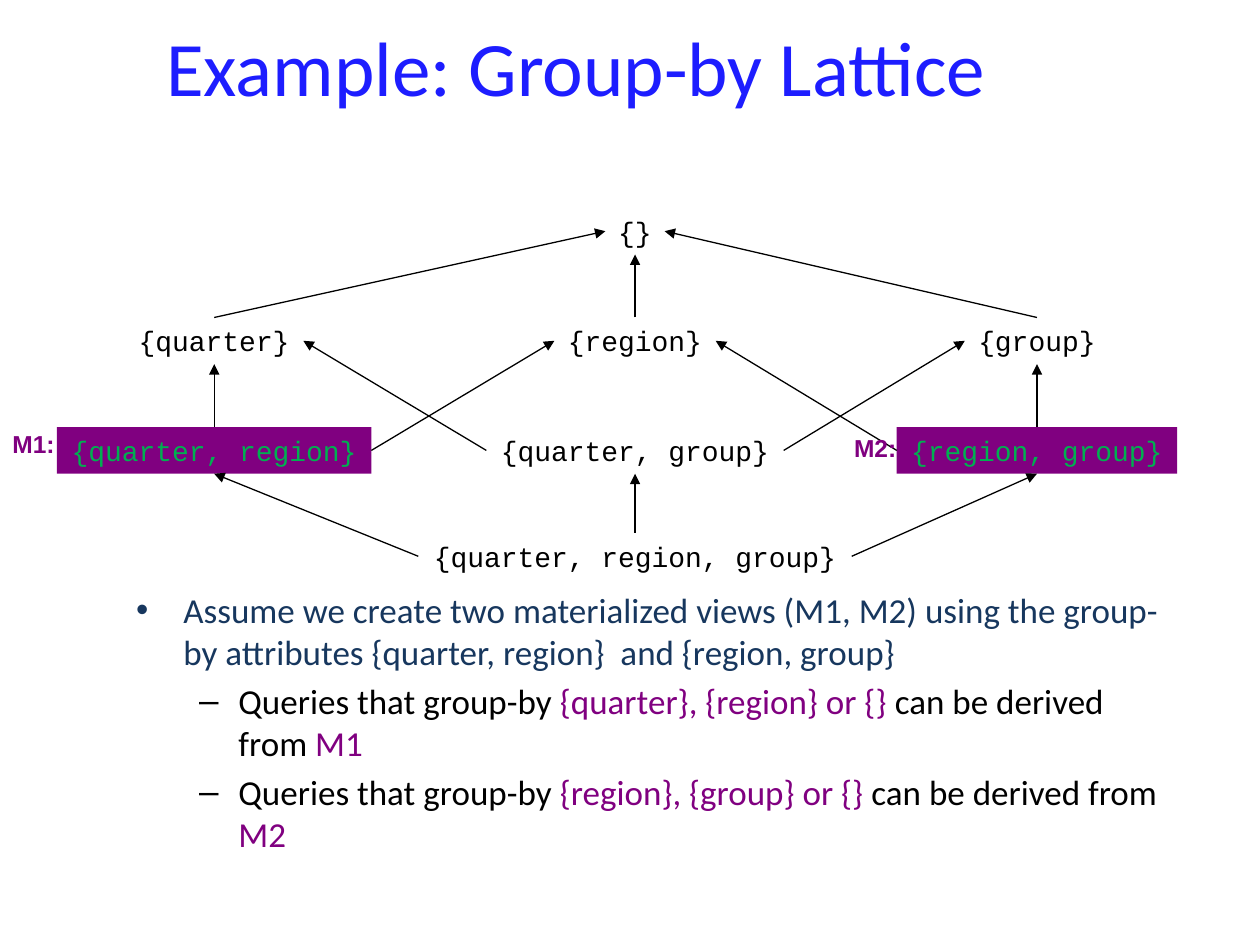
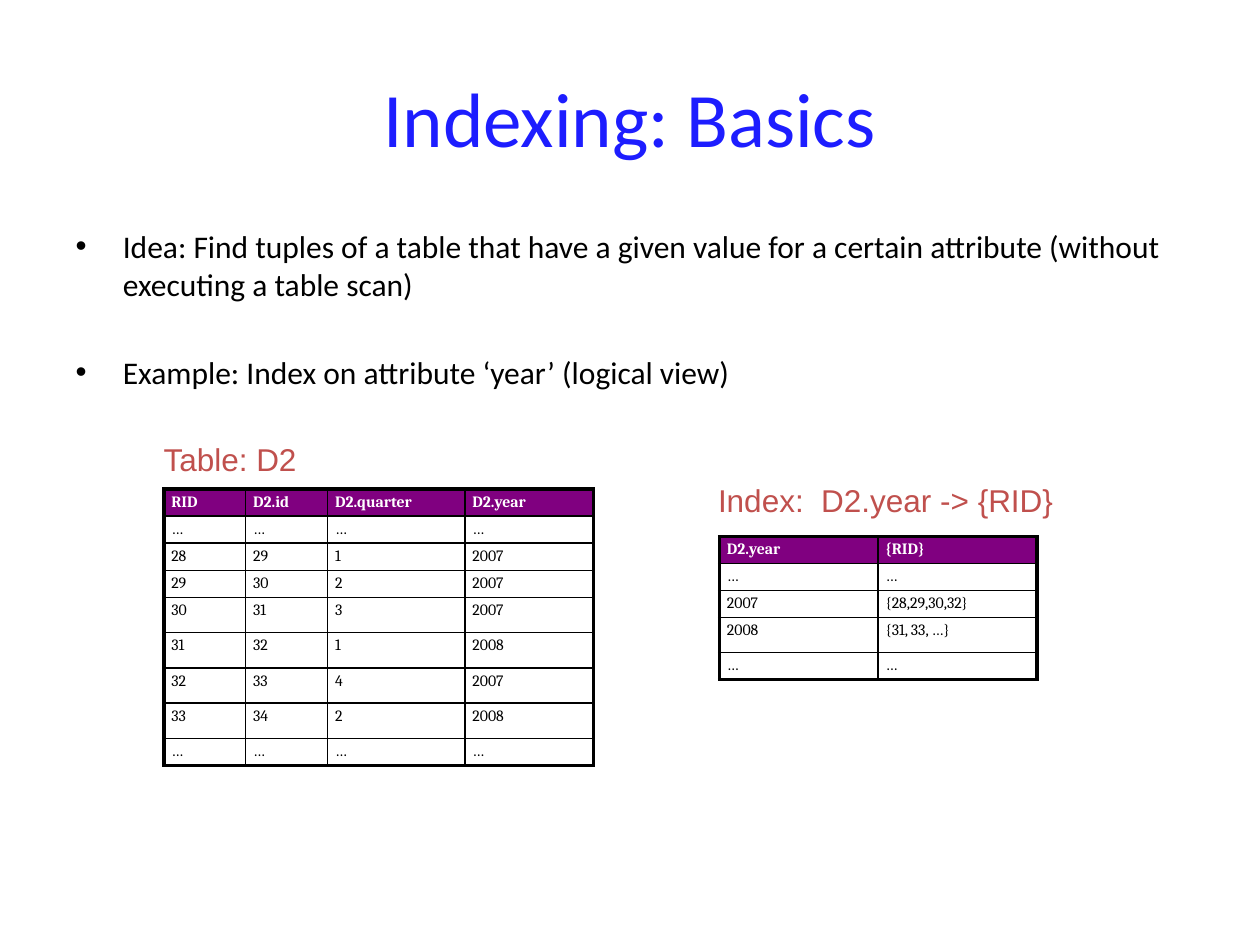
from dataclasses import dataclass, field
from itertools import accumulate

from lxml import etree
from pptx import Presentation
from pptx.dml.color import RGBColor
from pptx.enum.shapes import MSO_CONNECTOR, MSO_SHAPE
from pptx.enum.text import MSO_ANCHOR, MSO_AUTO_SIZE, PP_ALIGN
from pptx.oxml.ns import qn
from pptx.util import Emu, Inches, Pt

STRAIGHT = MSO_CONNECTOR.STRAIGHT
RECTANGLE = MSO_SHAPE.RECTANGLE
TOP, MIDDLE = MSO_ANCHOR.TOP, MSO_ANCHOR.MIDDLE
GROW = MSO_AUTO_SIZE.SHAPE_TO_FIT_TEXT
LEFT_ALIGN, CENTER = PP_ALIGN.LEFT, PP_ALIGN.CENTER

SLIDE_W, SLIDE_H = Inches(10), Inches(7.5)
UNIT = SLIDE_W // 100  # the grid has 100 columns and 75 rows
TITLE_AND_CONTENT = 1

# connection sites of a rectangle
N, W, S, E = range(4)


@dataclass(frozen=True)
class Style:
    size: float
    name: str
    color: str
    bold: bool = False


@dataclass(frozen=True)
class Theme:
    black: str = "000000"
    purple: str = "800080"
    thin: float = 1
    thick: float = 2.25
    arrow: float = 0.75
    title: Style = Style(44, "Calibri", "1D1DFF")
    lead: Style = Style(20, "Calibri", "17375E")
    detail: Style = Style(20, "Calibri", "000000")
    emphasis: Style = Style(20, "Calibri", "800080")
    idea: Style = Style(18, "Calibri", "000000")
    node: Style = Style(16, "Courier New", "000000")
    view_node: Style = Style(16, "Courier New", "00B050")
    view_label: Style = Style(14, "Arial", "800080", True)
    caption: Style = Style(18, "Arial", "C0504D")
    header: Style = Style(9, "Cambria", "FFFFFF", True)
    cell: Style = Style(9, "Cambria", "000000")


THEME = Theme()


@dataclass(frozen=True)
class Box:
    """A place on the slide, in grid units."""
    left: float
    top: float
    width: float
    height: float

    def emu(self) -> list[Emu]:
        return [units(v) for v in (self.left, self.top, self.width, self.height)]


@dataclass(frozen=True)
class Bullet:
    runs: list[tuple[str, Style]]
    level: int = 0
    gap: float | None = None


@dataclass(frozen=True)
class Node:
    text: str
    col: int
    row: int
    view: bool = False


@dataclass(frozen=True)
class Edge:
    start: str
    start_site: int
    end: str
    end_site: int


@dataclass(frozen=True)
class Grid:
    """A table with a caption; rows listed in tall are higher than the rest."""
    caption: str
    caption_box: Box
    left: float
    top: float
    cols: list[float]
    rows: list[list[str]]
    tall: set[int] = field(default_factory=set)


COL_CENTERS = [17, 50.4, 82.3]
ROW_TOPS = [16.5, 25.2, 33.9, 42.3]
NODE_H, NODE_PAD, CHAR_W = 3.7, 2, 1.35
ROW_H, TALL_ROW_H = 2.13, 2.8

QUARTER, REGION, GROUP, ALL = "{quarter}", "{region}", "{group}", "{}"
QUARTER_REGION = "{quarter, region}"
QUARTER_GROUP = "{quarter, group}"
REGION_GROUP = "{region, group}"
BASE = "{quarter, region, group}"

NODES = [
    Node(ALL, 1, 0),
    Node(QUARTER, 0, 1), Node(REGION, 1, 1), Node(GROUP, 2, 1),
    Node(QUARTER_REGION, 0, 2, True), Node(QUARTER_GROUP, 1, 2),
    Node(REGION_GROUP, 2, 2, True),
    Node(BASE, 1, 3),
]
EDGES = [
    Edge(BASE, W, QUARTER_REGION, S), Edge(BASE, N, QUARTER_GROUP, S),
    Edge(BASE, E, REGION_GROUP, S),
    Edge(QUARTER_REGION, N, QUARTER, S), Edge(QUARTER_REGION, E, REGION, W),
    Edge(QUARTER_GROUP, W, QUARTER, E), Edge(QUARTER_GROUP, E, GROUP, W),
    Edge(REGION_GROUP, W, REGION, E), Edge(REGION_GROUP, N, GROUP, S),
    Edge(QUARTER, N, ALL, W), Edge(REGION, N, ALL, S), Edge(GROUP, N, ALL, E),
]
VIEW_LABELS = [("M1:", Box(0, 33.6, 5.4, 3.4)), ("M2:", Box(66.8, 33.9, 5.4, 3.4))]


def derived(groups: str, view: str) -> Bullet:
    """Says which groupings can be answered from a materialized view."""
    return Bullet([("Queries that group-by ", THEME.detail), (groups, THEME.emphasis),
                   (" can be derived from ", THEME.detail), (view, THEME.emphasis)], 1)


VIEW_BULLETS = [
    Bullet([("Assume we create two materialized views (M1, M2) using the group-by "
             "attributes {quarter, region}  and {region, group}", THEME.lead)]),
    derived("{quarter}, {region} or {}", "M1"),
    derived("{region}, {group} or {}", "M2"),
]
INDEX_BULLETS = [
    Bullet([("Idea: Find tuples of a table that have a given value for a certain "
             "attribute (without executing a table scan)", THEME.idea)]),
    Bullet([("Example: Index on attribute ‘year’ (logical view)", THEME.idea)], gap=29),
]
GRIDS = [
    Grid("Index:  D2.year -> {RID}", Box(56, 37.7, 28.9, 4), 57.1, 42.6, [12.6, 12.6],
         [["D2.year", "{RID}"],
          ["…", "…"],
          ["2007", "{28,29,30,32}"],
          ["2008", "{31, 33, …}"],
          ["…", "…"]], {3}),
    Grid("Table: D2", Box(12, 34.4, 12.7, 4), 13, 38.8, [6.5, 6.5, 10.9, 10.2],
         [["RID", "D2.id", "D2.quarter", "D2.year"],
          ["…"] * 4,
          ["28", "29", "1", "2007"],
          ["29", "30", "2", "2007"],
          ["30", "31", "3", "2007"],
          ["31", "32", "1", "2008"],
          ["32", "33", "4", "2007"],
          ["33", "34", "2", "2008"],
          ["…"] * 4], {4, 5, 6, 7}),
]


def units(v: float) -> Emu:
    return Emu(round(v * UNIT))


def add_run(p, text: str, style: Style) -> None:
    r = p.add_run()
    r.text = text
    values = {"size": Pt(style.size), "name": style.name, "bold": style.bold}
    for name, value in values.items():
        setattr(r.font, name, value)
    r.font.color.rgb = RGBColor.from_string(style.color)


def place(sp, box: Box) -> None:
    for name, value in zip(("left", "top", "width", "height"), box.emu()):
        setattr(sp, name, value)


def add_slide(prs, title: str, title_box: Box, bullets: list[Bullet], body_box: Box):
    s = prs.slides.add_slide(prs.slide_layouts[TITLE_AND_CONTENT])
    head, body = s.placeholders
    place(head, title_box)
    head.text_frame.vertical_anchor = MIDDLE
    add_run(head.text_frame.paragraphs[0], title, THEME.title)

    place(body, body_box)
    tf = body.text_frame
    for i, bullet in enumerate(bullets):
        p = tf.add_paragraph() if i else tf.paragraphs[0]
        p.level = bullet.level
        if bullet.gap is not None:
            p.space_before = Pt(bullet.gap)
        for text, style in bullet.runs:
            add_run(p, text, style)
    return s


def add_label(s, text: str, box: Box, style: Style, align=LEFT_ALIGN,
              fill: str | None = None):
    """Adds one line of text, on a filled rectangle if a fill is given."""
    if fill:
        sp = s.shapes.add_shape(RECTANGLE, *box.emu())
        sp.shadow.inherit = False
        sp.fill.solid()
        sp.fill.fore_color.rgb = RGBColor.from_string(fill)
        sp.line.fill.background()
    else:
        sp = s.shapes.add_textbox(*box.emu())
    frame = {"word_wrap": False, "auto_size": GROW, "vertical_anchor": TOP}
    for name, value in frame.items():
        setattr(sp.text_frame, name, value)
    p = sp.text_frame.paragraphs[0]
    p.alignment = align
    add_run(p, text, style)
    return sp


def add_node(s, node: Node):
    width = NODE_PAD + CHAR_W * len(node.text)
    box = Box(COL_CENTERS[node.col] - width / 2, ROW_TOPS[node.row], width, NODE_H)
    style, fill = (THEME.view_node, THEME.purple) if node.view else (THEME.node, None)
    return add_label(s, node.text, box, style, CENTER, fill)


def add_arrow(s, edge: Edge, shapes: dict) -> None:
    line = s.shapes.add_connector(STRAIGHT, 0, 0, 0, 0)
    line.begin_connect(shapes[edge.start], edge.start_site)
    line.end_connect(shapes[edge.end], edge.end_site)
    line.line.width = Pt(THEME.arrow)
    line.line.color.rgb = RGBColor.from_string(THEME.black)
    etree.SubElement(line.line._get_or_add_ln(), qn("a:tailEnd"), type="triangle")
    etree.SubElement(line._element.spPr, qn("a:effectLst"))


def add_borders(cell, outer: dict[str, bool]) -> None:
    """Draws thick lines on the outer sides of the table and thin ones inside."""
    tc_pr = cell._tc.get_or_add_tcPr()
    for side, is_outer in outer.items():
        width = Pt(THEME.thick if is_outer else THEME.thin)
        ln = etree.SubElement(tc_pr, qn(f"a:ln{side}"), w=str(width))
        fill = etree.SubElement(ln, qn("a:solidFill"))
        etree.SubElement(fill, qn("a:srgbClr"), val=THEME.black)


def add_grid(s, grid: Grid) -> None:
    heights = [TALL_ROW_H if i in grid.tall else ROW_H for i in range(len(grid.rows))]
    box = Box(grid.left, grid.top, sum(grid.cols), sum(heights))
    table = s.shapes.add_table(len(heights), len(grid.cols), *box.emu()).table
    table.horz_banding = False
    for column, width in zip(table.columns, grid.cols):
        column.width = units(width)
    edges = [0, *accumulate(heights)]
    for row, top, bottom in zip(table.rows, edges, edges[1:]):
        row.height = units(bottom) - units(top)

    last_row, last_col = len(heights) - 1, len(grid.cols) - 1
    margins = {"margin_left": 0.06, "margin_top": 0.04,
               "margin_right": 0.06, "margin_bottom": 0.04}
    for i, texts in enumerate(grid.rows):
        for j, text in enumerate(texts):
            cell = table.cell(i, j)
            for name, value in margins.items():
                setattr(cell, name, Inches(value))
            add_borders(cell, {"L": j == 0, "R": j == last_col,
                               "T": i == 0, "B": i == last_row})
            if i == 0:
                cell.fill.solid()
                cell.fill.fore_color.rgb = RGBColor.from_string(THEME.purple)
            else:
                cell.fill.background()
            p = cell.text_frame.paragraphs[0]
            p.line_spacing = 0.9
            add_run(p, text, THEME.cell if i else THEME.header)
    add_label(s, grid.caption, grid.caption_box, THEME.caption)


def build_lattice(prs) -> None:
    s = add_slide(prs, "Example: Group-by Lattice", Box(2.1, 0.9, 87.3, 8.7),
                  VIEW_BULLETS, Box(9.8, 46.2, 84.3, 23.4))
    shapes = {node.text: add_node(s, node) for node in NODES}
    for edge in EDGES:
        add_arrow(s, edge, shapes)
    for text, box in VIEW_LABELS:
        add_label(s, text, box, THEME.view_label)


def build_indexing(prs) -> None:
    s = add_slide(prs, "Indexing: Basics", Box(5, 3, 90, 12.5),
                  INDEX_BULLETS, Box(5, 17.5, 90, 49.5))
    for grid in GRIDS:
        add_grid(s, grid)


def main() -> None:
    prs = Presentation()
    prs.slide_width, prs.slide_height = SLIDE_W, SLIDE_H
    build_lattice(prs)
    build_indexing(prs)
    prs.save("out.pptx")


if __name__ == "__main__":
    main()
